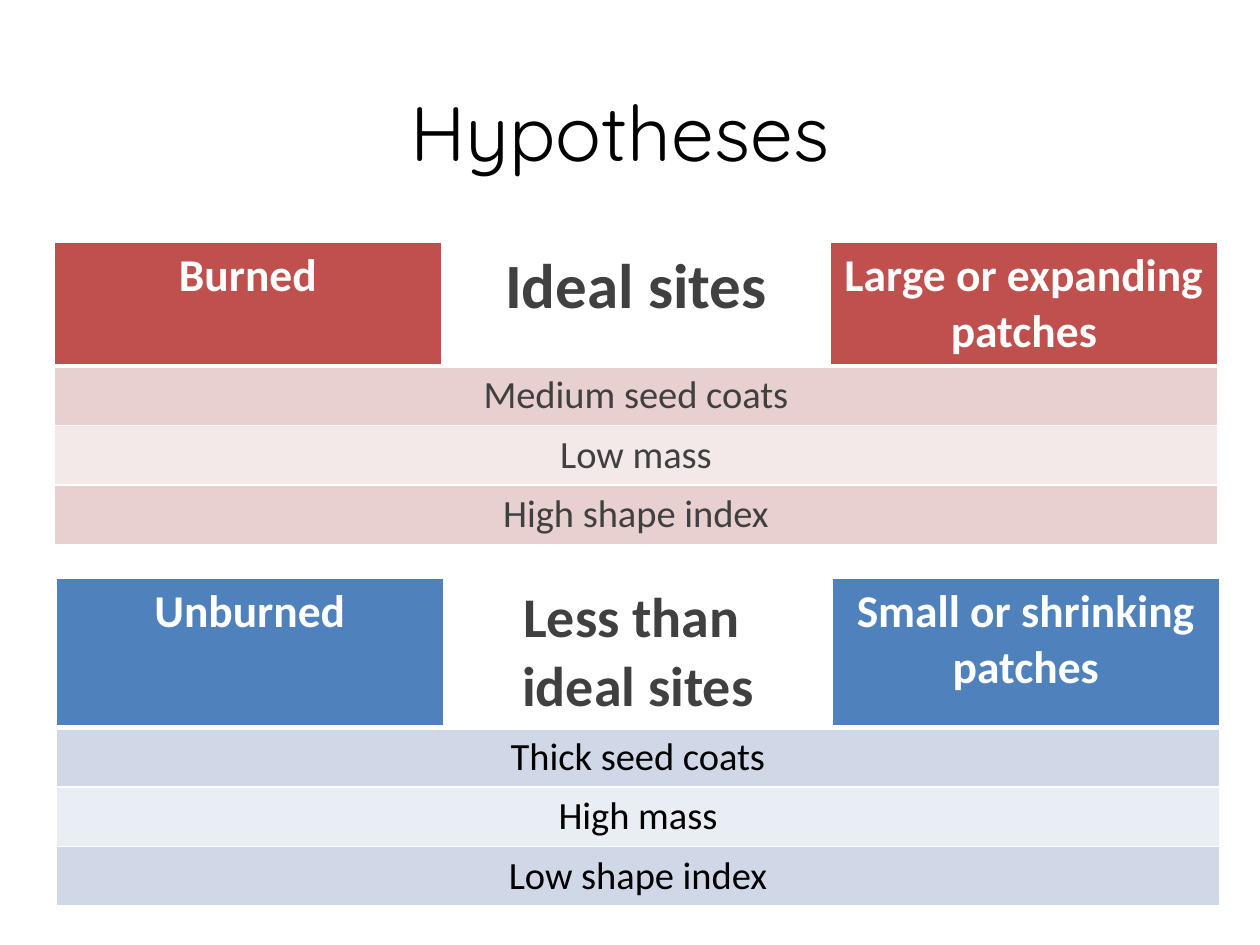
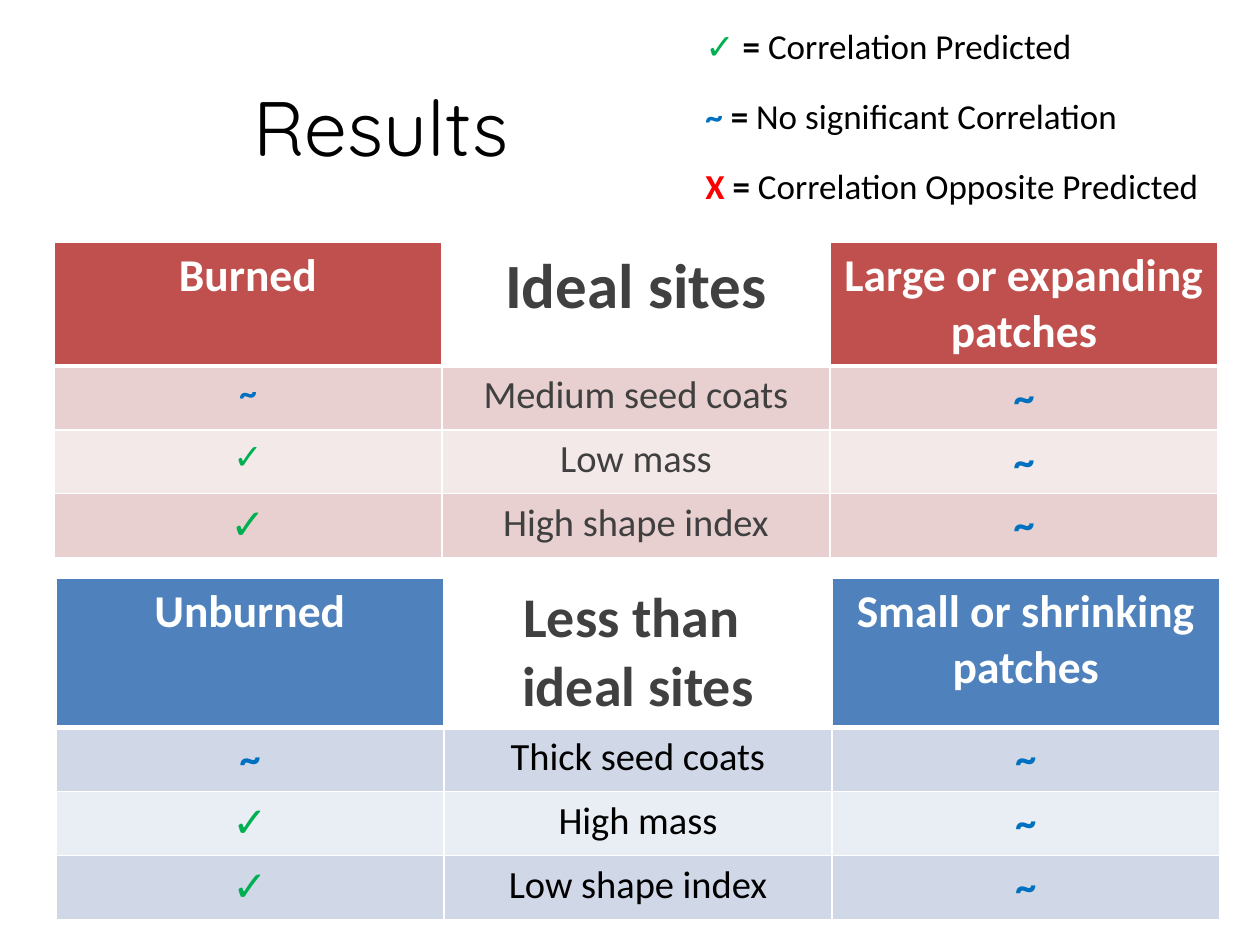
from lxml import etree
from pptx import Presentation
from pptx import util as u
from pptx.dml.color import RGBColor
from pptx.enum import text
from pptx.oxml import ns

BLACK = RGBColor(0, 0, 0)
WHITE = RGBColor(255, 255, 255)
GREY = RGBColor(0x40, 0x40, 0x40)
RED = RGBColor(0xC0, 0x50, 0x4D)
ROSE = RGBColor(0xE8, 0xD0, 0xD0)
BLUSH = RGBColor(0xF4, 0xE9, 0xE9)
BLUE = RGBColor(0x4F, 0x81, 0xBD)
SKY = RGBColor(0xD0, 0xD8, 0xE8)
MIST = RGBColor(0xE9, 0xED, 0xF4)
NONE, YES, NOT = "~", "✓", "X"
MARKS = {NONE: RGBColor(0, 0x70, 0xC0), YES: RGBColor(0, 0xB0, 0x50),
         NOT: RGBColor(255, 0, 0)}
BODY, HEAD = "Calibri", "Quicksand"

SITES = [
    dict(left=54, top=242, tall=123, dark=RED, bands=(ROSE, BLUSH), ink=GREY, size=36,
         head=("Burned", "Ideal sites", "Large or expanding patches"),
         traits=("Medium seed coats", "Low mass", "High shape index")),
    dict(left=56, top=578, tall=149, dark=BLUE, bands=(SKY, MIST), ink=BLACK, size=32,
         head=("Unburned", "Less than \nideal sites", "Small or shrinking patches"),
         traits=("Thick seed coats", "High mass", "Low shape index")),
]
FOUND = [
    [(NONE, 20, NONE), (YES, 20, NONE), (YES, 24, NONE)],
    [(NONE, 24, NONE), (YES, 24, NONE), (YES, 24, NONE)],
]
KEY = [(YES, "Correlation Predicted"), (NONE, "No significant Correlation"),
       (NOT, "Correlation Opposite Predicted")]
SLIDES = [
    dict(title="Hypotheses", box=(53, 52, 1134, 157), row=59, found=None, key=()),
    dict(title="Results", box=(130, 47, 503, 157), row=63, found=FOUND, key=KEY),
]
COL, KEYBOX = 388, (693, 18, 527, 204)


def px(n):
    return u.Emu(round(n * 914400 / 126))


def style(font, size, ink, bold=False, name=BODY):
    font.size, font.bold, font.name = u.Pt(size), bold, name
    font.color.rgb = ink


def edge(cell, base):
    props = cell._tc.get_or_add_tcPr()
    for side in "LRTB":
        wide = base if side == "B" else 1
        line = etree.SubElement(props, ns.qn(f"a:ln{side}"), w=str(u.Pt(wide)))
        fill = etree.SubElement(line, ns.qn("a:solidFill"))
        etree.SubElement(fill, ns.qn("a:srgbClr"), val=str(WHITE))


def put(cell, words, size, ink, bold, back, base=1):
    edge(cell, base)
    if back is None:
        cell.fill.background()
    else:
        cell.fill.solid()
        cell.fill.fore_color.rgb = back
    cell.text = words
    for para in cell.text_frame.paragraphs:
        para.alignment = text.PP_ALIGN.CENTER
        style(para.font, size, ink, bold)


def add_site(slide, site, row, found):
    count = len(site["traits"])
    frame = slide.shapes.add_table(count + 1, 3, px(site["left"]), px(site["top"]),
                                   px(3 * COL), px(site["tall"] + count * row))
    table = frame.table
    table.horz_banding = False
    for col in table.columns:
        col.width = px(COL)
    for i, line in enumerate(table.rows):
        line.height = px(row if i else site["tall"])
    for j, words in enumerate(site["head"]):
        mid = j == 1
        put(table.cell(0, j), words, site["size"] if mid else 26, GREY if mid else WHITE,
            True, None if mid else site["dark"], 3)
    for i, trait in enumerate(site["traits"]):
        cells = [table.cell(i + 1, j) for j in range(3)]
        back = site["bands"][i % 2]
        if found:
            burn, size, patch = found[i]
            put(cells[0], burn, size, MARKS[burn], True, back)
            put(cells[1], trait, 22, site["ink"], False, back)
            put(cells[2], patch, 24, MARKS[patch], True, back)
        else:
            cells[0].merge(cells[2])
            put(cells[0], trait, 22, site["ink"], False, back)


def add_key(slide, key):
    frame = slide.shapes.add_textbox(*map(px, KEYBOX)).text_frame
    frame.word_wrap = True
    for i, (mark, words) in enumerate(key):
        para = frame.paragraphs[0] if i == 0 else frame.add_paragraph()
        if i:
            para.space_before = u.Pt(16)
        for part, ink, bold in ((mark + " ", MARKS[mark], True), ("= ", BLACK, True),
                                (words, BLACK, False)):
            run = para.add_run()
            run.text = part
            style(run.font, 20, ink, bold)


def add_title(slide, words, box):
    title = slide.shapes.title
    title.left, title.top, title.width, title.height = map(px, box)
    title.text_frame.text = words
    title.text_frame.vertical_anchor = text.MSO_ANCHOR.MIDDLE
    para = title.text_frame.paragraphs[0]
    para.alignment = text.PP_ALIGN.CENTER
    style(para.font, 44, BLACK, name=HEAD)


def main():
    deck = Presentation()
    deck.slide_width, deck.slide_height = px(1260), px(945)
    for page in SLIDES:
        slide = deck.slides.add_slide(deck.slide_layouts[5])
        add_title(slide, page["title"], page["box"])
        for i, site in enumerate(SITES):
            add_site(slide, site, page["row"], page["found"] and page["found"][i])
        if page["key"]:
            add_key(slide, page["key"])
    deck.save("out.pptx")


if __name__ == "__main__":
    main()
